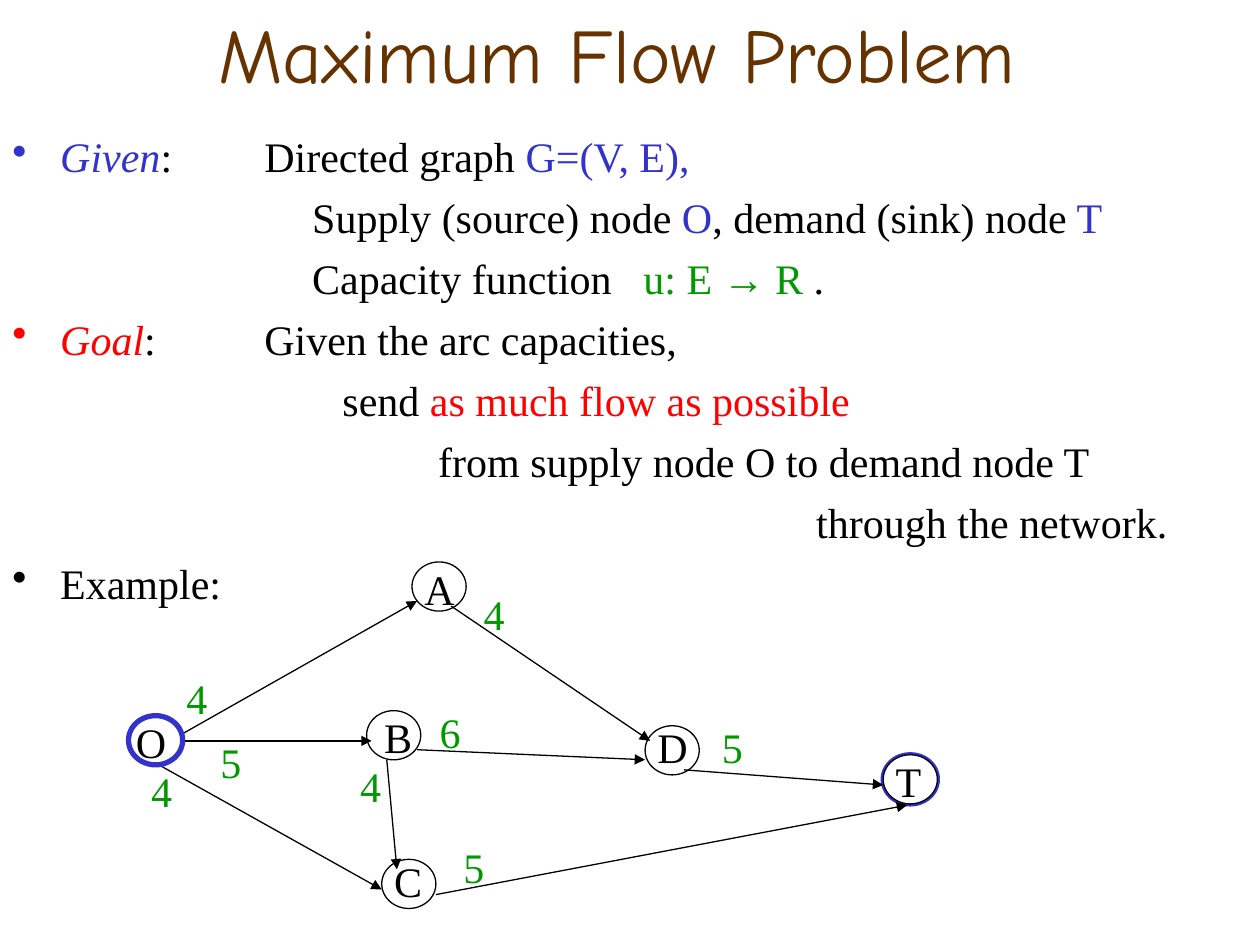
"""Build the Maximum Flow Problem slide with its example network."""
from lxml.etree import SubElement
from pptx import Presentation
from pptx.dml.color import RGBColor
from pptx.enum.shapes import MSO_CONNECTOR, MSO_SHAPE
from pptx.enum.text import MSO_ANCHOR, PP_ALIGN
from pptx.oxml.ns import qn
from pptx.util import Inches, Pt

BLACK = RGBColor(0, 0, 0)
WHITE = RGBColor(255, 255, 255)
BLUE = RGBColor(0x33, 0x33, 0xCC)
RED = RGBColor(255, 0, 0)
GREEN = RGBColor(0, 0x99, 0)
BROWN = RGBColor(0x66, 0x33, 0)

SERIF = {"name": "Times New Roman", "size": Pt(24), "italic": False}
ITALIC = {**SERIF, "italic": True}
ARROW = {**SERIF, "name": "Arial"}
TITLE = {"name": "Comic Neue", "size": Pt(44)}

HANG, TAB = 0.38, 2
LINES = [
    (HANG, BLUE, [("Given", BLUE, ITALIC), (":\tDirected graph ", BLACK, SERIF),
                  ("G=(V, E),", BLUE, SERIF)]),
    (2.38, None, [("Supply (source) node", BLACK, SERIF), (" O", BLUE, SERIF),
                  (", demand (sink) node", BLACK, SERIF), (" T", BLUE, SERIF)]),
    (2.38, None, [("Capacity function   ", BLACK, SERIF), ("u: E ", GREEN, SERIF),
                  ("→", GREEN, ARROW), (" R", GREEN, SERIF), (" .", BLACK, SERIF)]),
    (HANG, RED, [("Goal", RED, ITALIC),
                 (":\tGiven the arc capacities,", BLACK, SERIF)]),
    (2.62, None, [("send ", BLACK, SERIF), ("as much flow as possible", RED, SERIF)]),
    (3.38, None, [("from supply node O to demand node T", BLACK, SERIF)]),
    (6.38, None, [("through the network.", BLACK, SERIF)]),
    (HANG, BLACK, [("Example:", BLACK, SERIF)]),
]

NODES = [(5.12, 5.76), (2.91, 5.64), (3.03, 6.82), (3.27, 4.46), (7.01, 5.99)]
SOURCE, SINK = (1.02, 5.68), (7.01, 5.99)
ARCS = [
    (3.07, 6.03, 3.15, 6.9), (1.42, 5.84, 3.31, 4.77),
    (1.46, 5.88, 2.95, 5.88), (3.31, 5.95, 5.12, 6.03),
    (5.43, 6.11, 7.01, 6.23), (3.58, 4.81, 5.16, 5.88),
    (3.46, 7.1, 7.2, 6.39), (1.26, 6.07, 3.03, 7.06),
]
COSTS = [
    ("4", 1.38, 5.29), ("4", 3.74, 4.62), ("5", 1.65, 5.8), ("6", 3.39, 5.56),
    ("4", 2.76, 5.99), ("4", 1.1, 6.03), ("5", 5.63, 5.68), ("5", 3.58, 6.63),
]
NAMES = [
    ("O", 0.98, 5.64), ("A", 3.27, 4.42), ("D", 5.12, 5.68),
    ("B", 2.95, 5.6), ("C", 3.03, 6.74), ("T", 7.01, 5.95),
]


def add_run(para, text, color, style):
    run = para.add_run()
    run.text = text
    for key, value in style.items():
        setattr(run.font, key, value)
    run.font.color.rgb = color


def add_box(slide, *place):
    frame = slide.shapes.add_textbox(*map(Inches, place)).text_frame
    frame.word_wrap = True
    return frame


def add_title(slide):
    frame = add_box(slide, 0.43, 0, 8.94, 0.84)
    frame.vertical_anchor = MSO_ANCHOR.MIDDLE
    para = frame.paragraphs[0]
    para.alignment = PP_ALIGN.CENTER
    add_run(para, "Maximum Flow Problem", BROWN, TITLE)


def add_body(slide):
    frame = add_box(slide, 0, 0.99, 10, 6.51)
    for row, (left, dot, runs) in enumerate(LINES):
        para = frame.add_paragraph() if row else frame.paragraphs[0]
        para.space_before = Pt(6)
        props = para._p.get_or_add_pPr()
        props.set("marL", str(Inches(left)))
        props.set("indent", str(Inches(-HANG if dot else 0)))
        if dot:
            color = SubElement(props, qn("a:buClr"))
            SubElement(color, qn("a:srgbClr"), val=str(dot))
            SubElement(props, qn("a:buChar"), char="•")
            tabs = SubElement(props, qn("a:tabLst"))
            SubElement(tabs, qn("a:tab"), pos=str(Inches(TAB)), algn="l")
        for run in runs:
            add_run(para, *run)


def add_node(slide, spot, color=BLACK, width=0.75):
    place = map(Inches, (*spot, 0.43, 0.39))
    node = slide.shapes.add_shape(MSO_SHAPE.OVAL, *place)
    node.shadow.inherit = False
    node.fill.solid()
    node.fill.fore_color.rgb = WHITE
    node.line.color.rgb = color
    node.line.width = Pt(width)


def add_arc(slide, ends):
    arc = slide.shapes.add_connector(MSO_CONNECTOR.STRAIGHT, *map(Inches, ends))
    arc.line.color.rgb = BLACK
    arc.line.width = Pt(0.75)
    SubElement(arc.line._get_or_add_ln(), qn("a:tailEnd"), type="triangle")
    SubElement(arc._element.spPr, qn("a:effectLst"))


def add_labels(slide, labels, color, width):
    for text, left, top in labels:
        frame = add_box(slide, left, top, width, 0.5)
        add_run(frame.paragraphs[0], text, color, SERIF)


def main():
    deck = Presentation()
    deck.slide_width, deck.slide_height = Inches(10), Inches(7.5)
    slide = deck.slides.add_slide(deck.slide_layouts[6])
    add_node(slide, SINK, BLUE, 3)
    add_title(slide)
    add_body(slide)
    for spot in NODES:
        add_node(slide, spot)
    for ends in ARCS:
        add_arc(slide, ends)
    add_labels(slide, COSTS, GREEN, 0.39)
    add_node(slide, SOURCE, BLUE, 3)
    add_labels(slide, NAMES, BLACK, 0.43)
    deck.save("out.pptx")


if __name__ == "__main__":
    main()
